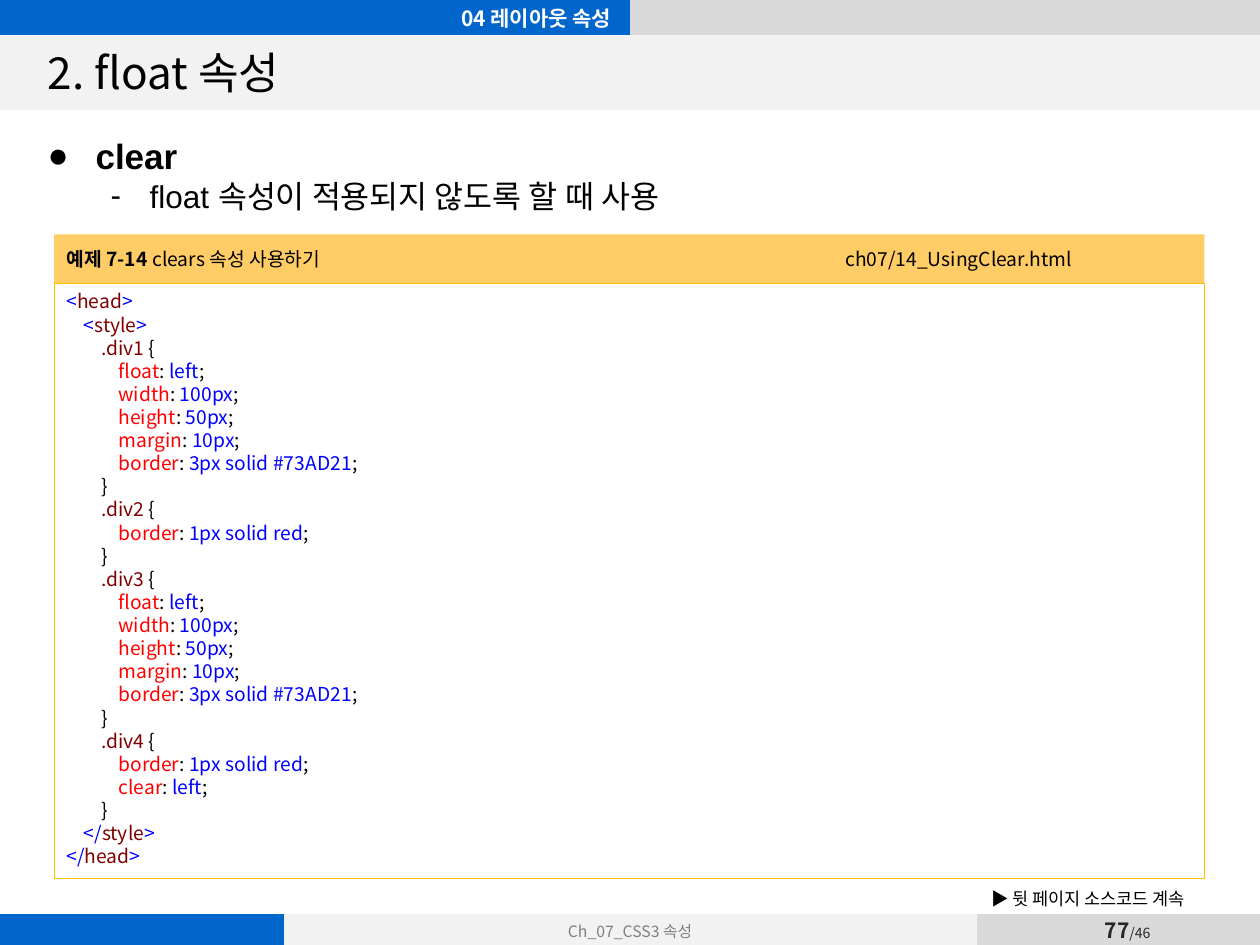
from lxml import etree
from pptx import Presentation
from pptx.dml.color import RGBColor
from pptx.enum.shapes import MSO_SHAPE
from pptx.enum.text import MSO_ANCHOR, PP_ALIGN
from pptx.oxml.ns import qn
from pptx.util import Emu, Inches, Pt

RECT = MSO_SHAPE.RECTANGLE
TOP, MIDDLE = MSO_ANCHOR.TOP, MSO_ANCHOR.MIDDLE
LEFT, CENTER, RIGHT = PP_ALIGN.LEFT, PP_ALIGN.CENTER, PP_ALIGN.RIGHT
KOREAN, LATIN = "Noto Sans CJK KR", "Arial"
BLUE, GRAY, PALE, BLACK = "0066CC", "D9D9D9", "F2F2F2", "000000"
TAG, PROPERTY, VALUE = "800000", "FF0000", "0000FF"
PLAIN_TABLE = "{2D5ABB26-0587-4C30-8999-92F81FD0307C}"
INDENT = "    "
EXAMPLE_LEFT, EXAMPLE_WIDTH = 0.43, 9.13

FLOATING = {"float": "left", "width": "100px", "height": "50px",
            "margin": "10px", "border": "3px solid #73AD21"}
THIN_BORDER = {"border": "1px solid red"}
STYLE_RULES = {".div1": FLOATING, ".div2": THIN_BORDER,
               ".div3": FLOATING, ".div4": {**THIN_BORDER, "clear": "left"}}


def rgb(hex_color):
    return RGBColor.from_string(hex_color)


def box(*lengths):
    return [Inches(length) for length in lengths]


def add_run(paragraph, text, size, color=BLACK, bold=False, font=KOREAN):
    run = paragraph.add_run()
    run.text = text
    values = {"name": font, "size": Pt(size), "bold": bold}
    for key, value in values.items():
        setattr(run.font, key, value)
    run.font.color.rgb = rgb(color)
    east_asian = etree.SubElement(run.font._element, qn("a:ea"))
    east_asian.set("typeface", KOREAN)


def format_frame(frame, anchor=TOP, **values):
    values = {"word_wrap": True, "vertical_anchor": anchor, **values}
    for key, value in values.items():
        setattr(frame, key, value)


def add_text(slide, place, runs, align=LEFT, anchor=MIDDLE, **frame_values):
    """Add a one-paragraph text box; each run is a tuple for add_run."""
    frame = slide.shapes.add_textbox(*box(*place)).text_frame
    format_frame(frame, anchor, **frame_values)
    paragraph = frame.paragraphs[0]
    paragraph.alignment = align
    for run in runs:
        add_run(paragraph, *run)


def add_panel(slide, place, fill=None, line=None):
    panel = slide.shapes.add_shape(RECT, *box(*place))
    panel.shadow.inherit = False
    if fill:
        panel.fill.solid()
        panel.fill.fore_color.rgb = rgb(fill)
    else:
        panel.fill.background()
    if line:
        panel.line.color.rgb = rgb(line)
        panel.line.width = Pt(0.5)
    else:
        panel.line.fill.background()
    return panel


def add_band(slide, top, height, widths, fills):
    """Add a one-row table of coloured cells and return its cells."""
    shape = slide.shapes.add_table(
        1, len(widths), *box(0, top, sum(widths), height))
    table = shape.table
    table._tbl.tblPr.find(qn("a:tableStyleId")).text = PLAIN_TABLE
    table.rows[0].height = Inches(height)
    cells = list(table.rows[0].cells)
    for column, cell, width, fill in zip(table.columns, cells, widths, fills):
        column.width = Inches(width)
        cell.fill.solid()
        cell.fill.fore_color.rgb = rgb(fill)
        cell.vertical_anchor = MIDDLE
        for side in ("left", "right", "top", "bottom"):
            setattr(cell, f"margin_{side}", Emu(0))
        paragraph = cell.text_frame.paragraphs[0]
        etree.SubElement(paragraph._p, qn("a:endParaRPr")).set("sz", "900")
    return cells


def set_title(slide, text):
    title = slide.shapes.title
    title.left, title.top, title.width, title.height = box(0.28, 0.29, 9.45, 0.56)
    format_frame(title.text_frame, MIDDLE)
    paragraph = title.text_frame.paragraphs[0]
    paragraph.alignment = LEFT
    add_run(paragraph, text, 25.2)


def add_bullets(slide, place, items):
    """Each item is (bullet, margin, hanging, text, size, bold)."""
    frame = slide.shapes.add_textbox(*box(*place)).text_frame
    format_frame(frame, margin_top=Inches(0.08))
    for index, (bullet, margin, hanging, text, size, bold) in enumerate(items):
        paragraph = frame.add_paragraph() if index else frame.paragraphs[0]
        paragraph.level = index
        properties = paragraph._p.get_or_add_pPr()
        properties.set("marL", str(Inches(margin)))
        properties.set("indent", str(-Inches(hanging)))
        etree.SubElement(properties, qn("a:buFont")).set("typeface", LATIN)
        etree.SubElement(properties, qn("a:buChar")).set("char", bullet)
        add_run(paragraph, text, size, bold=bold, font=LATIN)


def add_example_heading(slide, number, caption, file_name):
    place = (EXAMPLE_LEFT, 1.86, EXAMPLE_WIDTH, 0.39)
    frame = add_panel(slide, place, fill="FFCC66").text_frame
    format_frame(frame, MIDDLE)
    paragraph = frame.paragraphs[0]
    paragraph.alignment = LEFT
    tabs = etree.SubElement(paragraph._p.get_or_add_pPr(), qn("a:tabLst"))
    tab = etree.SubElement(tabs, qn("a:tab"))
    tab.set("pos", str(Inches(6.18)))
    tab.set("algn", "l")
    add_run(paragraph, number, 11, bold=True)
    add_run(paragraph, f"{caption}\t{file_name}", 11)


def tag_line(name, depth, opening="<"):
    indent = [(INDENT * depth, BLACK)] if depth else []
    return indent + [(opening, VALUE), (name, TAG), (">", VALUE)]


def rule_lines(selector, declarations):
    """Coloured pieces for each line of one CSS rule."""
    yield [(INDENT * 2, BLACK), (selector, TAG), (" {", BLACK)]
    for name, value in declarations.items():
        yield [(INDENT * 3, BLACK), (name, PROPERTY), (": ", BLACK),
               (value, VALUE), (";", BLACK)]
    yield [(INDENT * 2 + "}", BLACK)]


def add_code(slide):
    lines = [tag_line("head", 0), tag_line("style", 1)]
    for selector, declarations in STYLE_RULES.items():
        lines.extend(rule_lines(selector, declarations))
    lines += [tag_line("style", 1, "</"), tag_line("head", 0, "</")]

    place = (EXAMPLE_LEFT, 2.25, EXAMPLE_WIDTH, 4.72)
    frame = add_panel(slide, place, line="FFC000").text_frame
    format_frame(frame)
    for index, pieces in enumerate(lines):
        paragraph = frame.add_paragraph() if index else frame.paragraphs[0]
        paragraph.alignment = LEFT
        paragraph.line_spacing = Pt(13.2)
        for text, color in pieces:
            add_run(paragraph, text, 11, color)


def add_header(slide):
    add_band(slide, 0, 0.28, [5, 5], [BLUE, GRAY])
    add_text(slide, (0, 0, 4.95, 0.28),
             [("04 레이아웃 속성", 12, "FFFFFF", True)], RIGHT)


def add_footer(slide):
    cells = add_band(slide, 7.25, 0.27, [2.25, 5.5, 0.03, 1.34, 0.91],
                     [BLUE, PALE, GRAY, GRAY, GRAY])
    chapter = cells[1].text_frame.paragraphs[0]
    chapter.alignment = CENTER
    add_run(chapter, "Ch_07_CSS3 속성", 9, "808080")
    add_text(slide, (8.47, 7.25, 0.96, 0.26),
             [("77", 12, "262626", True), ("/46", 8, "262626")], CENTER,
             margin_left=Emu(0), margin_right=Emu(0), word_wrap=False)


def main():
    presentation = Presentation()
    presentation.slide_width, presentation.slide_height = box(10, 7.5)
    title_only = presentation.slide_layouts[5]
    slide = presentation.slides.add_slide(title_only)

    title_band = add_panel(slide, (0, 0.28, 10, 0.59), fill=PALE)
    slide.shapes.title._element.addprevious(title_band._element)
    set_title(slide, "2. float 속성")
    add_header(slide)
    add_footer(slide)
    add_bullets(slide, (0.28, 0.99, 9.61, 0.87), [
        ("●", 0.38, 0.38, "clear", 20, True),
        ("-", 0.81, 0.31, "float 속성이 적용되지 않도록 할 때 사용", 18, False),
    ])
    add_example_heading(slide, "예제 7-14 ", "clears 속성 사용하기",
                        "ch07/14_UsingClear.html")
    add_code(slide)
    add_text(slide, (7.77, 7, 1.94, 0.27),
             [("▶ 뒷 페이지 소스코드 계속", 10, BLACK, False, LATIN)], anchor=TOP)
    presentation.save("out.pptx")


if __name__ == "__main__":
    main()
